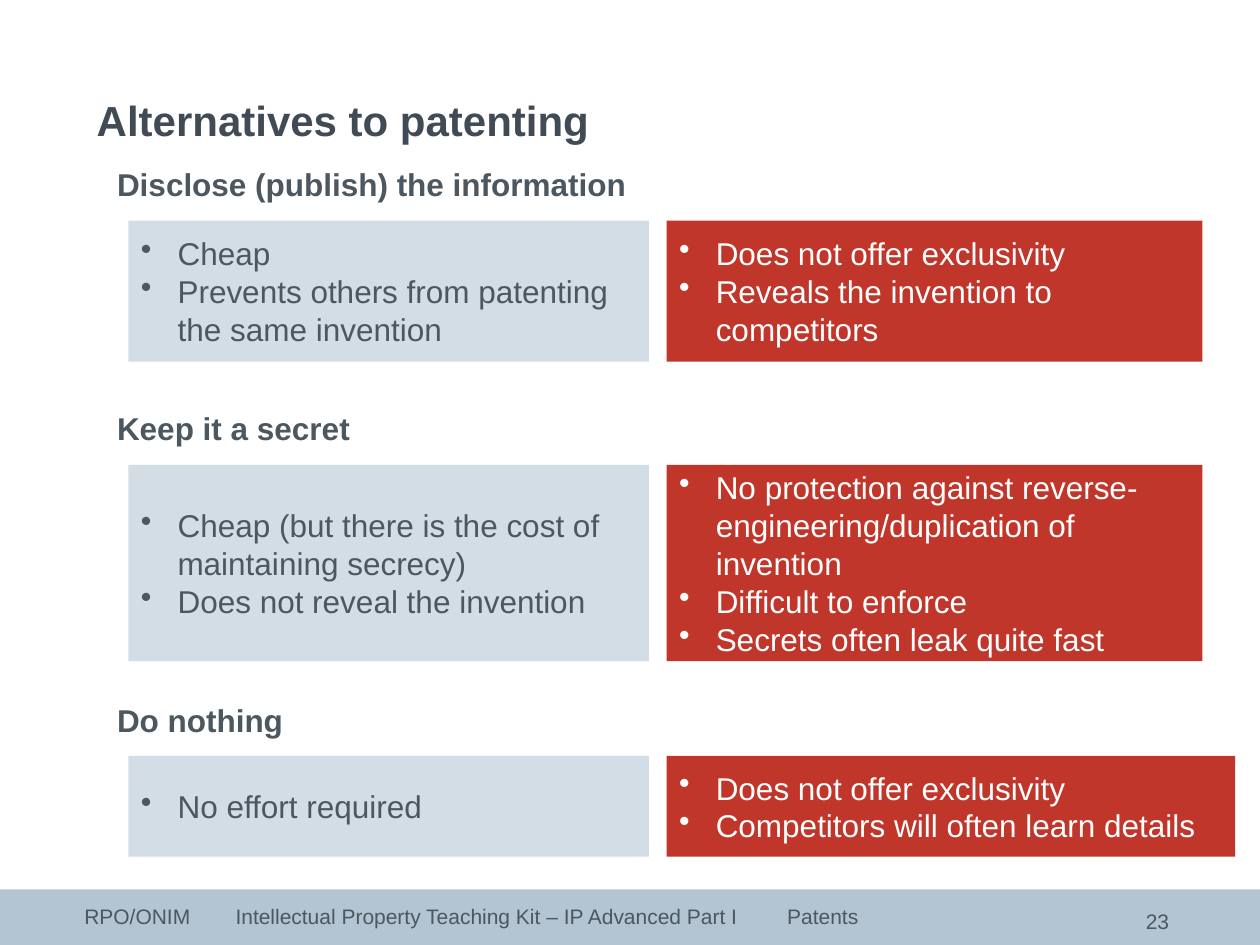
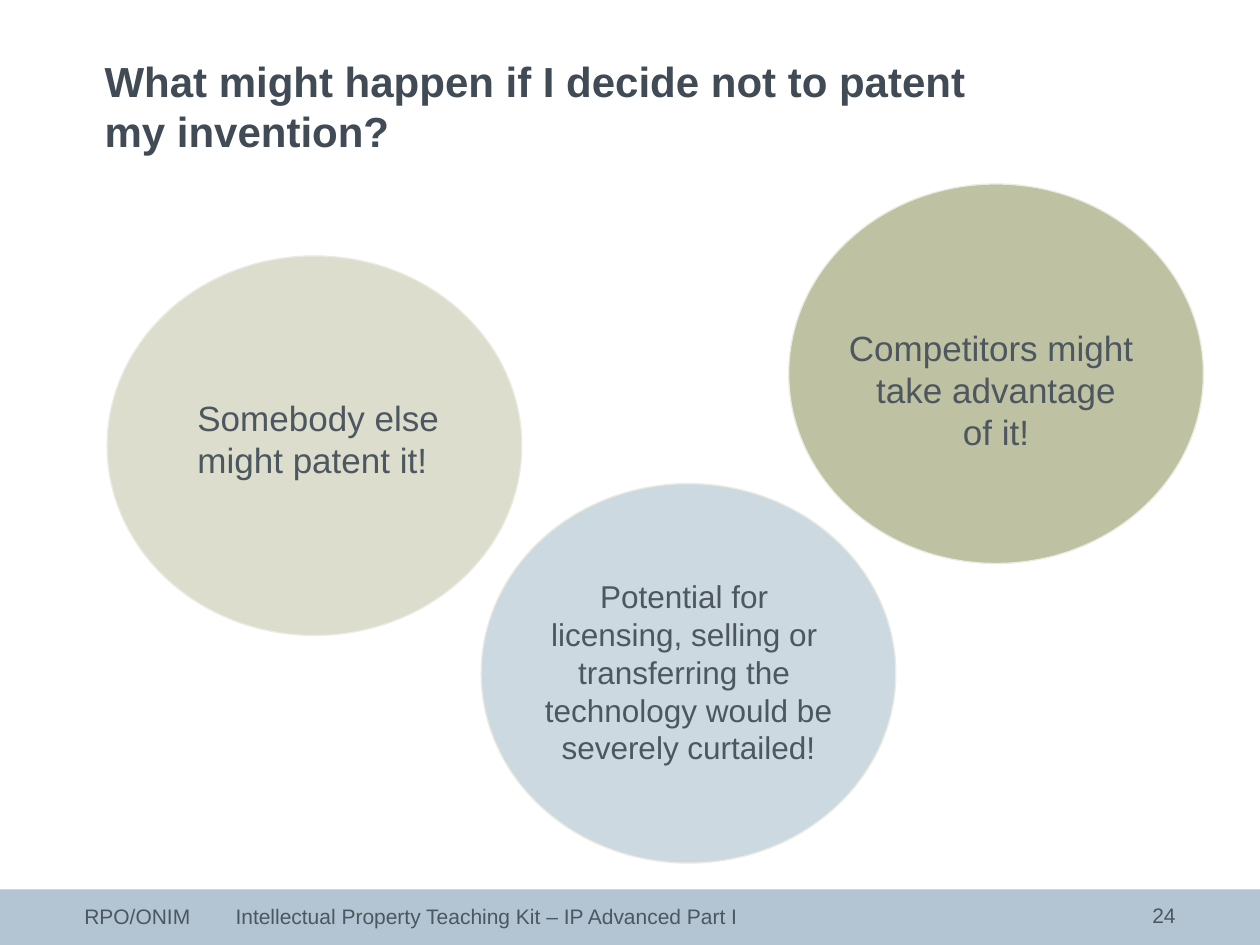
import lxml.etree
import pptx
import pptx.dml.color
import pptx.enum.shapes
import pptx.enum.text
import pptx.oxml.ns
import pptx.util

Cm = pptx.util.Cm
Shape = pptx.enum.shapes.MSO_SHAPE
Align = pptx.enum.text.PP_ALIGN
Anchor = pptx.enum.text.MSO_ANCHOR
AutoSize = pptx.enum.text.MSO_AUTO_SIZE
qn = pptx.oxml.ns.qn

COLOURS = {
    "title": "404B56",
    "text": "4C575F",
    "white": "FFFFFF",
    "band": "B3C5D2",
    "advantage": "D3DDE5",
    "drawback": "C0362B",
    "sand": "DCDDCD",
    "olive": "BFC1A3",
    "sky": "CDD9E1",
    "outline": "EAEBE1",
}
FONT = "Arial"
FOOTER_TABS = (3.05, 14.17)


def add_panel(page, kind, bounds, fill, line=None):
    panel = page.shapes.add_shape(kind, *map(Cm, bounds))
    panel.shadow.inherit = False
    panel.fill.solid()
    panel.fill.fore_color.rgb = pptx.dml.color.RGBColor.from_string(COLOURS[fill])
    if line:
        panel.line.color.rgb = pptx.dml.color.RGBColor.from_string(COLOURS[line])
        panel.line.width = pptx.util.Pt(0.75)
    else:
        panel.line.fill.background()
    return panel


def write_text(box, paragraphs, size, colour="text", bold=False, align=Align.LEFT,
               anchor=Anchor.TOP, inset=True, wrap=True, grow=False,
               bullets=False, indent=0, tabs=()):
    """Fill a shape with paragraphs; a newline inside one is a line break."""
    frame = box.text_frame
    frame.word_wrap = wrap
    frame.vertical_anchor = anchor
    frame.auto_size = AutoSize.SHAPE_TO_FIT_TEXT if grow else AutoSize.NONE
    if not inset:
        frame.margin_left = frame.margin_top = frame.margin_right = frame.margin_bottom = 0
    for index, words in enumerate(paragraphs):
        para = frame.add_paragraph() if index else frame.paragraphs[0]
        para.alignment = align
        properties = para._p.get_or_add_pPr()
        if indent:
            properties.set("marL", str(Cm(indent)))
        if bullets:
            properties.set("indent", str(-Cm(indent)))
            lxml.etree.SubElement(properties, qn("a:buChar"), char="•")
        if tabs:
            stops = lxml.etree.SubElement(properties, qn("a:tabLst"))
            for stop in tabs:
                lxml.etree.SubElement(stops, qn("a:tab"), pos=str(Cm(stop)), algn="l")
        for number, line in enumerate(words.split("\n")):
            if number:
                para.add_line_break()
            span = para.add_run()
            span.text = line
            span.font.name = FONT
            span.font.size = pptx.util.Pt(size)
            span.font.bold = bold
            span.font.color.rgb = pptx.dml.color.RGBColor.from_string(COLOURS[colour])


deck = pptx.Presentation()
deck.slide_width = Cm(25.4)
deck.slide_height = Cm(19.05)

# Title, band, footer and page number of every slide
footer = "RPO/ONIM\tIntellectual Property Teaching Kit – IP Advanced Part I"
slides = [
    {"title": "Alternatives to patenting", "title_at": (1.7, 1.12, 22, 2.59),
     "anchor": Anchor.MIDDLE, "inset": True, "footer": footer + "\tPatents",
     "footer_width": 16.41, "number": "23", "number_at": (21.46, 18.26)},
    {"title": "What might happen if I decide not to patent \nmy invention?",
     "title_at": (2.11, 1.12, 22.5, 3.15), "anchor": Anchor.TOP, "inset": False,
     "footer": footer, "footer_width": 15.01, "number": "24", "number_at": (21.59, 18.14)},
]
pages = []
for content in slides:
    page = deck.slides.add_slide(deck.slide_layouts[6])
    pages.append(page)
    add_panel(page, Shape.RECTANGLE, (0, 17.93, 25.4, 1.12), "band")
    title_box = page.shapes.add_textbox(*map(Cm, content["title_at"]))
    write_text(title_box, [content["title"]], 24, "title", bold=True,
               anchor=content["anchor"], inset=content["inset"])
    footer_box = page.shapes.add_textbox(
        Cm(1.7), Cm(18.21), Cm(content["footer_width"]), Cm(1.32))
    write_text(footer_box, [content["footer"]], 12, inset=False, tabs=FOOTER_TABS)
    number_box = page.shapes.add_textbox(*map(Cm, content["number_at"]), Cm(2.11), Cm(0.61))
    write_text(number_box, [content["number"]], 12, align=Align.RIGHT,
               anchor=Anchor.MIDDLE, inset=False)

# Slide 1: each alternative with its advantages and drawbacks
alternatives = [
    # heading, heading width, top, height, drawback width, advantages, drawbacks
    ("Disclose (publish) the information", 11.28, 4.45, 2.84, 10.8,
     ["Cheap", "Prevents others from patenting the same invention"],
     ["Does not offer exclusivity", "Reveals the invention to competitors"]),
    ("Keep it a secret", 5.44, 9.37, 3.96, 10.8,
     ["Cheap (but there is the cost of maintaining secrecy)", "Does not reveal the invention"],
     ["No protection against reverse-engineering/duplication of invention",
      "Difficult to enforce", "Secrets often leak quite fast"]),
    ("Do nothing", 3.89, 15.24, 2.03, 11.46,
     ["No effort required"],
     ["Does not offer exclusivity", "Competitors will often learn details"]),
]
for heading, heading_width, top, height, drawback_width, advantages, drawbacks in alternatives:
    heading_box = pages[0].shapes.add_textbox(
        Cm(2.11), Cm(top - 1.24), Cm(heading_width), Cm(1.02))
    write_text(heading_box, [heading], 18, bold=True, wrap=False, grow=True)
    for left, width, fill, colour, points in (
            (2.59, 10.49, "advantage", "text", advantages),
            (13.44, drawback_width, "drawback", "white", drawbacks)):
        panel = add_panel(pages[0], Shape.RECTANGLE, (left, top, width, height), fill)
        write_text(panel, points, 18, colour, anchor=Anchor.MIDDLE, bullets=True, indent=0.74)

# Slide 2: three possible consequences
consequences = [
    # circle position, fill, text bounds, words, size, alignment, indent
    ((2.16, 5.16), "sand", (2.46, 7.87, 7.9, 1.96),
     "Somebody else might patent it!", 20, Align.LEFT, 1.27),
    ((15.9, 3.71), "olive", (16.13, 6.45, 7.9, 2.82),
     "Competitors might \ntake advantage\nof it!", 20, Align.CENTER, 0),
    ((9.7, 9.75), "sky", (9.7, 11.51, 8.36, 4.11),
     "Potential for \nlicensing, selling or \ntransferring the \n"
     "technology would be severely curtailed!", 18, Align.CENTER, 0),
]
for position, fill, bounds, words, size, align, indent in consequences:
    add_panel(pages[1], Shape.OVAL, (*position, 8.36, 7.65), fill, "outline")
    words_box = pages[1].shapes.add_textbox(*map(Cm, bounds))
    write_text(words_box, [words], size, align=align, grow=True, indent=indent)

deck.save("out.pptx")
